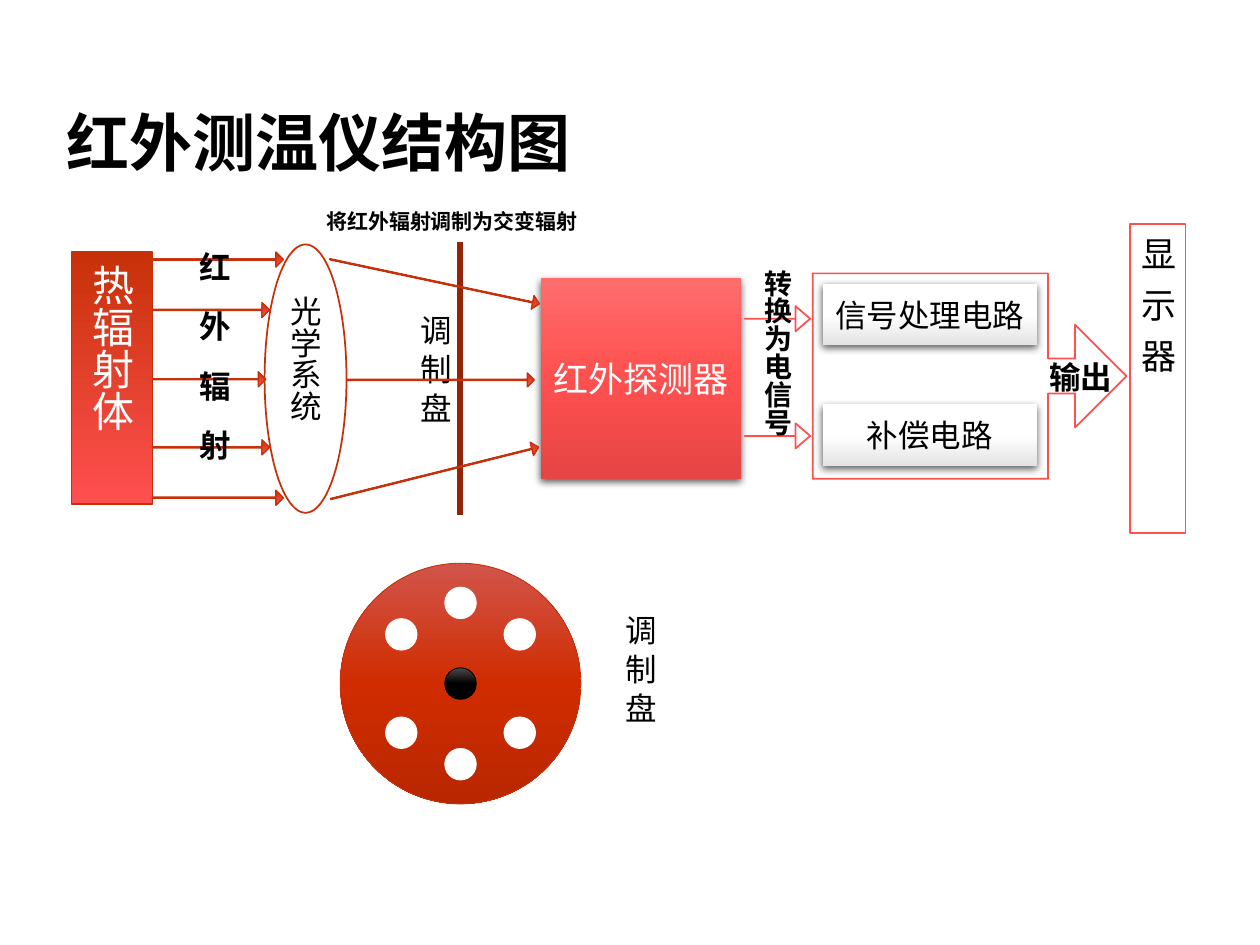
import copy

import pptx
import pptx.dml.color
import pptx.enum.shapes
import pptx.enum.text
import pptx.oxml
import pptx.oxml.ns
import pptx.util

Inches = pptx.util.Inches
Pt = pptx.util.Pt
RGBColor = pptx.dml.color.RGBColor
Kind = pptx.enum.shapes.MSO_SHAPE
Align = pptx.enum.text.PP_ALIGN
Anchor = pptx.enum.text.MSO_ANCHOR
Fit = pptx.enum.text.MSO_AUTO_SIZE
qn = pptx.oxml.ns.qn

BLACK = RGBColor(0x00, 0x00, 0x00)
WHITE = RGBColor(0xFF, 0xFF, 0xFF)
RUST = RGBColor(0xC7, 0x31, 0x09)
CORAL = RGBColor(0xFF, 0x50, 0x50)
BROWN = RGBColor(0x93, 0x24, 0x07)
HEAT = (RUST, CORAL)
GLOW = (RGBColor(0xFF, 0x6C, 0x6C), CORAL, RGBColor(0xE5, 0x45, 0x45))
DISC = (RGBColor(0xD1, 0x55, 0x4B), RGBColor(0xD0, 0x2C, 0x00), RGBColor(0xB9, 0x27, 0x00))
HUB = (RGBColor(0x4B, 0x4B, 0x4B), BLACK, BLACK)
PALE = (WHITE, WHITE, RGBColor(0xE3, 0xE3, 0xE3))
CJK = "Noto Sans CJK SC"

SHADOW = (
    '<a:outerShdw xmlns:a="http://schemas.openxmlformats.org/drawingml/2006/main" '
    'blurRad="57150" dist="19050" dir="5400000" algn="ctr" rotWithShape="0">'
    '<a:srgbClr val="000000"><a:alpha val="63000"/></a:srgbClr></a:outerShdw>'
)


class Sketch:
    def __init__(self, slide, font="Arial"):
        self.slide = slide
        self.font = font

    def add_run(self, frame, words, size, color=BLACK, bold=False, align=Align.CENTER,
                font=None, upright=False, gap=0):
        para = frame.paragraphs[0]
        para.alignment = align
        run = para.add_run()
        run.text = words
        run.font.size = Pt(size)
        run.font.bold = bold
        run.font.color.rgb = color
        run.font.name = font or self.font
        props = run.font._element
        props.find(qn("a:latin")).addnext(props.makeelement(qn("a:ea"), {"typeface": CJK}))
        if gap:
            props.set("spc", str(round(gap * 100)))
        if upright:
            frame._txBody.bodyPr.set("vert", "eaVert")

    def title(self, box, words):
        shape = self.slide.shapes.title
        shape.left, shape.top, shape.width, shape.height = map(Inches, box)
        frame = shape.text_frame
        frame.vertical_anchor = Anchor.MIDDLE
        self.add_run(frame, words, 36, bold=True, align=Align.LEFT, font=CJK)

    def blend(self, shape, colors):
        fill = shape.fill
        fill.gradient()
        fill.gradient_angle = 270
        stops = shape.element.spPr.find(qn("a:gradFill")).find(qn("a:gsLst"))
        for _ in colors[2:]:
            stops.append(copy.deepcopy(stops[-1]))
        for spot, (stop, color) in enumerate(zip(fill.gradient_stops, colors)):
            stop.position = spot / (len(colors) - 1)
            stop.color.rgb = color

    def shape(self, kind, box, fill=None, line=None, width=1, knobs=(), turn=0,
              shade=False, words=None, **style):
        shape = self.slide.shapes.add_shape(kind, *map(Inches, box))
        shape.shadow.inherit = False
        shape.rotation = turn
        for spot, knob in enumerate(knobs):
            shape.adjustments[spot] = knob
        if fill is None:
            shape.fill.background()
        elif isinstance(fill, RGBColor):
            shape.fill.solid()
            shape.fill.fore_color.rgb = fill
        else:
            self.blend(shape, fill)
        if line is None:
            shape.line.fill.background()
        else:
            shape.line.color.rgb = line
            shape.line.width = Pt(width)
        if shade:
            effects = shape.element.spPr.find(qn("a:effectLst"))
            effects.append(pptx.oxml.parse_xml(SHADOW))
        if words:
            frame = shape.text_frame
            frame.word_wrap = False
            frame.vertical_anchor = Anchor.MIDDLE
            self.add_run(frame, words, **style)

    def arrow(self, box, turn=0):
        self.shape(Kind.RIGHT_ARROW, box, HEAT, RUST, 0.75, (0.08, 0.5), turn)

    def text(self, box, words, size, **style):
        frame = self.slide.shapes.add_textbox(*map(Inches, box)).text_frame
        frame.word_wrap = True
        frame.auto_size = Fit.SHAPE_TO_FIT_TEXT
        self.add_run(frame, words, size, **style)

    def line(self, start, end, color, width):
        line = self.slide.shapes.add_connector(
            pptx.enum.shapes.MSO_CONNECTOR.STRAIGHT, *map(Inches, start + end))
        line.line.color.rgb = color
        line.line.width = Pt(width)
        props = line._element.spPr
        props.append(props.makeelement(qn("a:effectLst"), {}))


def main():
    deck = pptx.Presentation()
    deck.slide_width, deck.slide_height = Inches(10), Inches(7.5)
    art = Sketch(deck.slides.add_slide(deck.slide_layouts[5]))
    art.title((0.43, 0.74, 9, 0.76), "红外测温仪结构图")

    art.shape(Kind.RECTANGLE, (0.57, 2, 0.64, 2), HEAT, RUST, 0.75,
              words="热辐射体", size=24, color=WHITE, upright=True)
    art.shape(Kind.OVAL, (2.1, 1.94, 0.65, 2.13), WHITE, RUST,
              words="光学系统", size=18, upright=True)
    art.line((3.65, 1.92), (3.65, 4.09), BROWN, 3.5)
    art.text((3.15, 2.4, 0.5, 1.2), "调 制 盘", 18, upright=True)
    art.shape(Kind.RECTANGLE, (4.29, 2.21, 1.59, 1.59), GLOW, shade=True,
              words="红外探测器", size=20, color=WHITE)

    for top, width in ((2, 1.04), (2.4, 0.93), (2.95, 0.9), (3.49, 0.93), (3.89, 1.04)):
        art.arrow((1.21, top, width, 0.12))
    art.arrow((2.6, 2.18, 1.7, 0.11), 12)
    art.arrow((2.6, 3.7, 1.7, 0.11), 346)
    art.arrow((2.75, 2.96, 1.49, 0.11))

    art.shape(Kind.OVAL, (2.7, 4.47, 1.91, 1.91), DISC, RUST, 0.5)
    hub_x, hub_y, hole = 3.53, 5.3, 0.25
    for side, drop in ((-0.47, 0.39), (0, 0.64), (0.47, 0.39)):
        for sign in (-1, 1):
            art.shape(Kind.OVAL, (hub_x + side, hub_y + sign * drop, hole, hole),
                      WHITE, WHITE, 0.5)
    art.shape(Kind.OVAL, (hub_x, hub_y, hole, hole), HUB, BLACK, 0.5)
    art.text((4.78, 4.78, 0.5, 1.29), "调 制 盘", 18, upright=True)

    art.shape(Kind.RECTANGLE, (8.97, 1.78, 0.44, 2.45), WHITE, CORAL,
              words="显示器", size=20, upright=True, gap=9)
    for top, words in ((2.25, "信号处理电路"), (3.21, "补偿电路")):
        art.shape(Kind.RECTANGLE, (6.53, top, 1.7, 0.49), PALE, shade=True,
                  words=words, size=18)
    for top in (2.43, 3.36):
        art.shape(Kind.NOTCHED_RIGHT_ARROW, (5.91, top, 0.52, 0.2), WHITE, CORAL,
                  knobs=(0, 0.58))
    art.shape(Kind.RIGHT_ARROW_CALLOUT, (6.45, 2.17, 2.49, 1.63), line=CORAL,
              knobs=(0.17, 0.25, 0.25, 0.75))

    art.text((1.4, 1.9, 0.5, 2.23), "红外辐射", 18, bold=True, upright=True, gap=16)
    art.text((2.49, 1.61, 2.33, 0.3), "将红外辐射调制为交变辐射", 12, bold=True,
             align=Align.LEFT)
    art.text((5.88, 2.04, 0.47, 1.93), "转换为电信号", 16, bold=True, font=CJK,
             upright=True)
    art.text((8.23, 2.79, 0.76, 0.4), "输出", 18, bold=True, align=Align.LEFT)
    deck.save("out.pptx")


if __name__ == "__main__":
    main()
